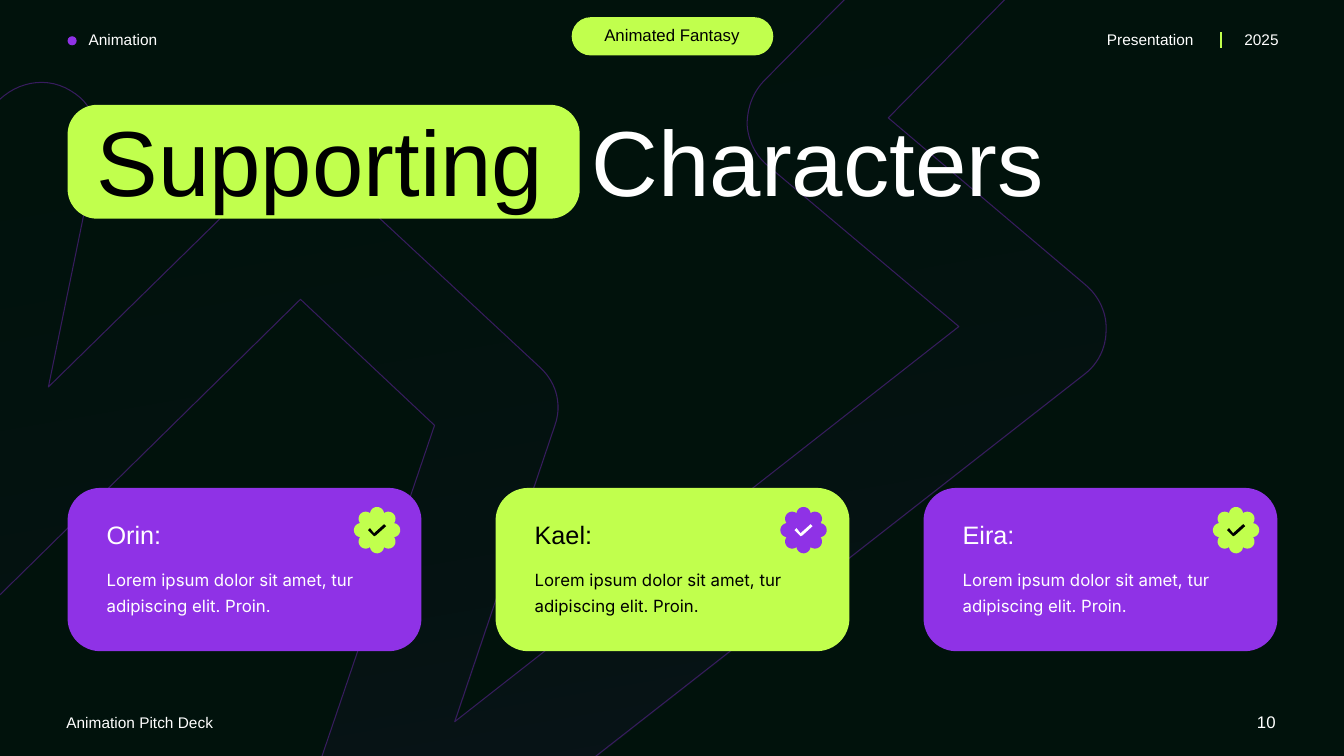
import math

from lxml import etree
from pptx import Presentation
from pptx.dml.color import RGBColor
from pptx.enum.shapes import MSO_CONNECTOR, MSO_SHAPE
from pptx.enum.text import MSO_AUTO_SIZE, PP_ALIGN
from pptx.oxml.ns import qn
from pptx.util import Inches, Pt

LEFT, CENTER, RIGHT = PP_ALIGN.LEFT, PP_ALIGN.CENTER, PP_ALIGN.RIGHT
FIT_SHAPE = MSO_AUTO_SIZE.SHAPE_TO_FIT_TEXT
OVAL, ROUNDED = MSO_SHAPE.OVAL, MSO_SHAPE.ROUNDED_RECTANGLE
STRAIGHT = MSO_CONNECTOR.STRAIGHT

COLORS = {
    "night": "01120C",
    "lime": "C1FF4D",
    "violet": "8F32E6",
    "outline": "371C5E",
    "white": "FFFFFF",
    "black": "000000",
}

RIBBON = [
    (8.52, -0.15), (10.11, -0.15), (8.81, 1.17), (10.77, 2.83),
    (10.9, 2.94, 10.98, 3.11, 10.97, 3.28),
    (10.97, 3.45, 10.89, 3.61, 10.76, 3.71),
    (3.7, 9.23),
    (3.6, 9.31, 3.48, 9.35, 3.36, 9.35),
    (3.24, 9.35, 3.12, 9.31, 3.03, 9.24),
    (2.82, 9.1, 2.74, 8.84, 2.82, 8.6),
    (4.31, 4.22), (2.98, 2.97), (-0.05, 5.95),
    (-0.23, 6.13, -0.5, 6.17, -0.72, 6.05),
    (-0.94, 5.93, -1.05, 5.68, -1, 5.44),
    (-0.47, 2.86), (-2.81, 4.82), (-2.81, 3.34), (0.04, 0.95),
    (0.23, 0.8, 0.49, 0.77, 0.7, 0.9),
    (0.91, 1.02, 1.01, 1.26, 0.96, 1.5),
    (0.48, 3.84), (2.57, 1.79),
    (2.78, 1.57, 3.13, 1.57, 3.35, 1.78),
    (5.35, 3.64),
    (5.52, 3.79, 5.58, 4.02, 5.5, 4.23),
    (4.51, 7.16), (9.51, 3.24), (7.61, 1.64),
    (7.49, 1.54, 7.42, 1.39, 7.41, 1.24),
    (7.41, 1.08, 7.46, 0.93, 7.57, 0.81),
]

CHECK = [(0.07, -0.06), (-0.03, 0.03), (-0.07, -0.02), (-0.09, 0),
         (-0.03, 0.06), (-0.01, 0.05), (0.09, -0.04)]

CARDS = [
    ("Orin:", "violet", "white", "lime", "black", 3.74),
    ("Kael:", "lime", "black", "violet", "white", 7.97),
    ("Eira:", "violet", "white", "lime", "black", 12.26),
]
CARD_TEXT = "Lorem ipsum dolor sit amet, tur adipiscing elit. Proin."


def color(name):
    """Return the named palette colour."""
    return RGBColor.from_string(COLORS[name])


def flatten(segments, steps=12):
    """Turn line ends and cubic curves into a list of points."""
    points = []
    for segment in segments:
        if len(segment) == 2:
            points.append(segment)
            continue
        controls = (*points[-1], *segment)
        for step in range(1, steps + 1):
            t = step / steps
            weights = ((1 - t) ** 3, 3 * t * (1 - t) ** 2, 3 * t * t * (1 - t), t ** 3)
            points.append(tuple(
                sum(w * c for w, c in zip(weights, controls[axis::2])) for axis in (0, 1)))
    return points


def add_outline(shapes, points, fill=None):
    """Add a closed freeform through points given in inches."""
    start, *rest = [(Inches(x), Inches(y)) for x, y in points]
    builder = shapes.build_freeform(*start)
    builder.add_line_segments(rest, close=True)
    shape = builder.convert_to_shape()
    shape.shadow.inherit = False
    shape.line.fill.background()
    if fill:
        shape.fill.solid()
        shape.fill.fore_color.rgb = color(fill)
    return shape


def add_ribbon(page):
    """Add the faint outlined ribbon behind the content."""
    ribbon = add_outline(page.shapes, flatten(RIBBON))
    ribbon.fill.gradient()
    ribbon.fill.gradient_angle = 280
    for stop, name in zip(ribbon.fill.gradient_stops, ("night", "violet")):
        stop.color.rgb = color(name)
    for stop, alpha in zip(ribbon.element.iter(qn("a:gs")), (0, 9000)):
        etree.SubElement(stop[0], qn("a:alpha"), val=str(alpha))
    ribbon.line.color.rgb = color("outline")
    ribbon.line.width = Pt(0.75)


def add_block(page, kind, left, top, width, height, fill, rounding=None):
    """Add a plain filled preset shape."""
    shape = page.shapes.add_shape(
        kind, Inches(left), Inches(top), Inches(width), Inches(height))
    shape.shadow.inherit = False
    shape.fill.solid()
    shape.fill.fore_color.rgb = color(fill)
    shape.line.fill.background()
    if rounding:
        shape.adjustments[0] = rounding


def add_span(para, text, size, ink, font="Arial"):
    """Add a formatted run to a paragraph."""
    span = para.add_run()
    span.text = text
    span.font.size = Pt(size)
    span.font.name = font
    span.font.color.rgb = color(ink)


def add_text(page, text, left, top, width, height, size=11, ink="white",
             font="Arial", align=LEFT, spacing=None):
    """Add a one-paragraph text box and return its paragraph."""
    box = page.shapes.add_textbox(
        Inches(left), Inches(top), Inches(width), Inches(height))
    box.text_frame.word_wrap = True
    box.text_frame.auto_size = FIT_SHAPE
    para = box.text_frame.paragraphs[0]
    para.alignment = align
    if spacing:
        para.line_spacing = spacing
    add_span(para, text, size, ink, font)
    return para


def add_title(page):
    """Add the two-tone title with its lime highlight."""
    add_block(page, ROUNDED, 0.67, 1.04, 5.08, 1.13, "lime", 0.26)
    para = add_text(page, "Supporting", 0.86, 0.98, 10.29, 1.21, size=66, ink="black")
    tabs = etree.SubElement(para._p.get_or_add_pPr(), qn("a:tabLst"))
    etree.SubElement(tabs, qn("a:tab"), pos=str(Inches(4.91)), algn="l")
    add_span(para, "\tCharacters", 66, "white")


def add_badge(page, center_x, center_y, fill, ink):
    """Add an eight-lobed badge with a check mark."""
    group = page.shapes.add_group_shape()
    petals = []
    for lobe in range(0, 360, 45):
        for swing in range(-83, 84, 16):
            around, out = math.radians(lobe), math.radians(lobe + swing)
            petals.append((center_x + 0.16 * math.cos(around) + 0.07 * math.cos(out),
                           center_y + 0.16 * math.sin(around) + 0.07 * math.sin(out)))
    add_outline(group.shapes, petals, fill)
    add_outline(group.shapes, [(center_x + x, center_y + y) for x, y in CHECK], ink)


def add_header(page):
    """Add the top labels, dot, divider and pill."""
    add_text(page, "Animation", 0.78, 0.25, 1.28, 0.29)
    add_block(page, OVAL, 0.67, 0.36, 0.09, 0.09, "violet")
    add_text(page, "Presentation", 10.88, 0.25, 1.16, 0.29)
    add_text(page, "2025", 12.16, 0.25, 0.62, 0.29, align=RIGHT)
    divider = page.shapes.add_connector(
        STRAIGHT, Inches(12.11), Inches(0.32), Inches(12.11), Inches(0.48))
    divider.line.color.rgb = color("lime")
    divider.line.width = Pt(1)
    etree.SubElement(divider.element.spPr, qn("a:effectLst"))
    add_block(page, ROUNDED, 5.67, 0.17, 2, 0.38, "lime", 0.5)
    add_text(page, "Animated Fantasy", 5.86, 0.2, 1.61, 0.3,
             size=12, ink="black", align=CENTER)


def main():
    """Build and save the slide."""
    deck = Presentation()
    deck.slide_width, deck.slide_height = Inches(13.33), Inches(7.5)
    page = deck.slides.add_slide(deck.slide_layouts[6])
    page.background.fill.solid()
    page.background.fill.fore_color.rgb = color("night")
    add_ribbon(page)
    add_header(page)
    add_title(page)
    for index, (name, fill, ink, badge, check, badge_x) in enumerate(CARDS):
        left = 0.67 + 4.245 * index
        add_block(page, ROUNDED, left, 4.84, 3.51, 1.62, fill, 0.2)
        add_text(page, CARD_TEXT, left + 0.29, 5.54, 2.77, 0.6,
                 size=12, ink=ink, font="Inter", spacing=1.3)
        add_text(page, name, left + 0.29, 5.1, 2.77, 0.4, size=18, ink=ink)
        add_badge(page, badge_x, 5.26, badge, check)
    add_text(page, "Animation Pitch Deck", 0.56, 7.03, 2.65, 0.29)
    add_text(page, "10", 12.07, 7.01, 0.68, 0.3, size=12, align=RIGHT)
    deck.save("out.pptx")


if __name__ == "__main__":
    main()
